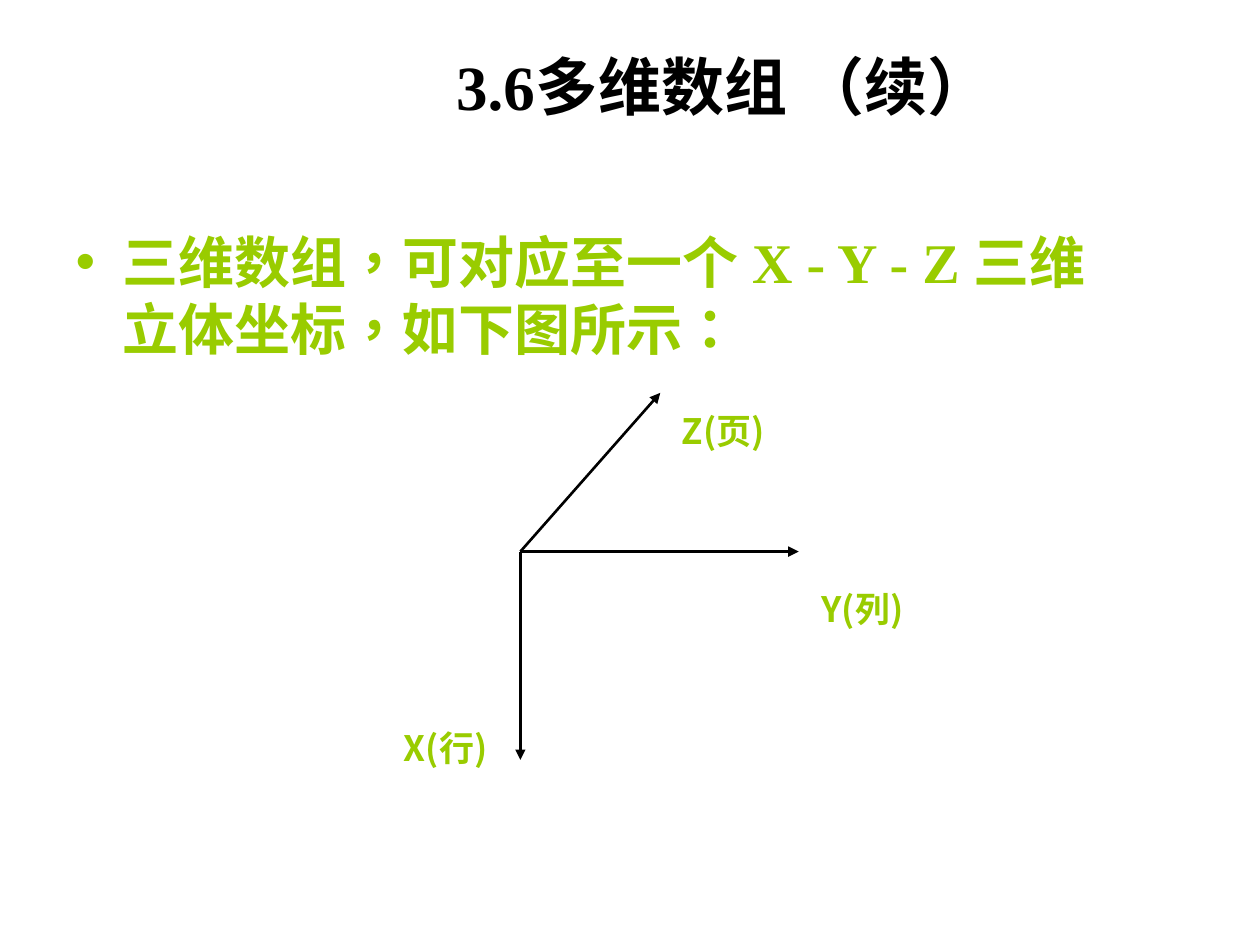
import dataclasses

import lxml.etree
import pptx
import pptx.dml.color
import pptx.enum.lang
import pptx.enum.shapes
import pptx.enum.text
import pptx.oxml.ns
import pptx.util

Cm = pptx.util.Cm
Align = pptx.enum.text.PP_ALIGN
Anchor = pptx.enum.text.MSO_ANCHOR
qn = pptx.oxml.ns.qn

BLACK = "000000"
GREEN = "99CC00"
SERIF = "Times New Roman"
SANS = "Noto Sans CJK SC"
ORIGIN = (10.49, 11.12)
LABEL = (2.97, 1.12)


@dataclasses.dataclass
class Axis:
    name: str
    tip: tuple[float, float]
    label: tuple[float, float]
    align: Align


AXES = [
    Axis("Z(页)", (13.31, 7.92), (13.49, 8.13), Align.LEFT),
    Axis("Y(列)", (16.1, 11.12), (16.31, 11.71), Align.LEFT),
    Axis("X(行)", (10.49, 15.32), (7.11, 14.53), Align.RIGHT),
]


def color(code: str) -> pptx.dml.color.RGBColor:
    return pptx.dml.color.RGBColor.from_string(code)


def place(shape, left: float, top: float, width: float, height: float) -> None:
    shape.left, shape.top = Cm(left), Cm(top)
    shape.width, shape.height = Cm(width), Cm(height)


def write(shape, text: str, *, size: float, font: str, fill: str,
          align: Align = Align.LEFT, anchor: Anchor = Anchor.TOP,
          bullet: bool = False) -> None:
    """Fill a shape with one bold paragraph."""
    frame = shape.text_frame
    frame.word_wrap = True
    frame.auto_size = pptx.enum.text.MSO_AUTO_SIZE.NONE
    frame.vertical_anchor = anchor
    para = frame.paragraphs[0]
    para.alignment = align
    para.space_before = pptx.util.Pt(0)
    if bullet:
        props = para._p.get_or_add_pPr()
        props.set("marL", str(Cm(0.95)))
        props.set("indent", str(-Cm(0.95)))
        tint = lxml.etree.SubElement(props, qn("a:buClr"))
        lxml.etree.SubElement(tint, qn("a:srgbClr"), val=fill)
        lxml.etree.SubElement(props, qn("a:buChar"), char="•")
    run = para.add_run()
    run.text = text
    run.font.name = font
    run.font.size = pptx.util.Pt(size)
    run.font.bold = True
    run.font.color.rgb = color(fill)
    run.font.language_id = pptx.enum.lang.MSO_LANGUAGE_ID.TRADITIONAL_CHINESE
    if font == SANS:
        face = lxml.etree.SubElement(run._r.get_or_add_rPr(), qn("a:ea"))
        face.set("typeface", font)


def arrow(slide, start: tuple[float, float], end: tuple[float, float]) -> None:
    line = slide.shapes.add_connector(
        pptx.enum.shapes.MSO_CONNECTOR.STRAIGHT, *map(Cm, start + end))
    line.line.color.rgb = color(BLACK)
    line.line.width = pptx.util.Pt(1.5)
    lxml.etree.SubElement(line.line._get_or_add_ln(), qn("a:tailEnd"),
                          type="triangle")
    lxml.etree.SubElement(line._element.spPr, qn("a:effectLst"))


def draw(slide, axis: Axis) -> None:
    arrow(slide, ORIGIN, axis.tip)
    box = slide.shapes.add_textbox(*map(Cm, axis.label + LABEL))
    write(box, axis.name, size=20, font=SANS, fill=GREEN, align=axis.align)


def main() -> None:
    deck = pptx.Presentation()
    deck.slide_width, deck.slide_height = Cm(25.4), Cm(19.05)
    slide = deck.slides.add_slide(deck.slide_layouts[1])

    title, body = slide.placeholders
    place(title, 3.76, 0.81, 21.64, 1.8)
    write(title, "3.6多维数组 （续）", size=36, font=SERIF, fill=BLACK,
          align=Align.CENTER, anchor=Anchor.MIDDLE)
    place(body, 1.27, 4.45, 20.98, 12.57)
    write(body, "三维数组，可对应至一个 X - Y - Z 三维立体坐标，如下图所示：",
          size=32, font=SERIF, fill=GREEN, bullet=True)

    for axis in AXES:
        draw(slide, axis)
    deck.save("out.pptx")


if __name__ == "__main__":
    main()
